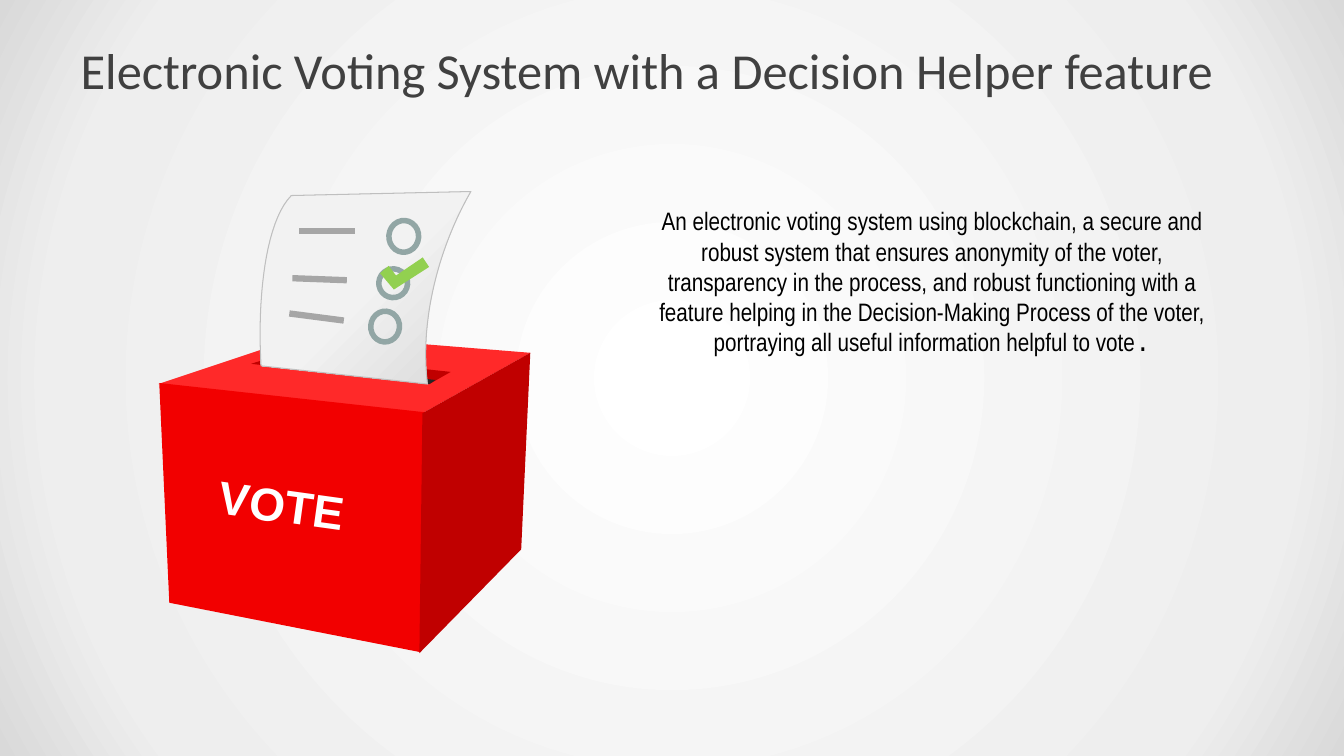
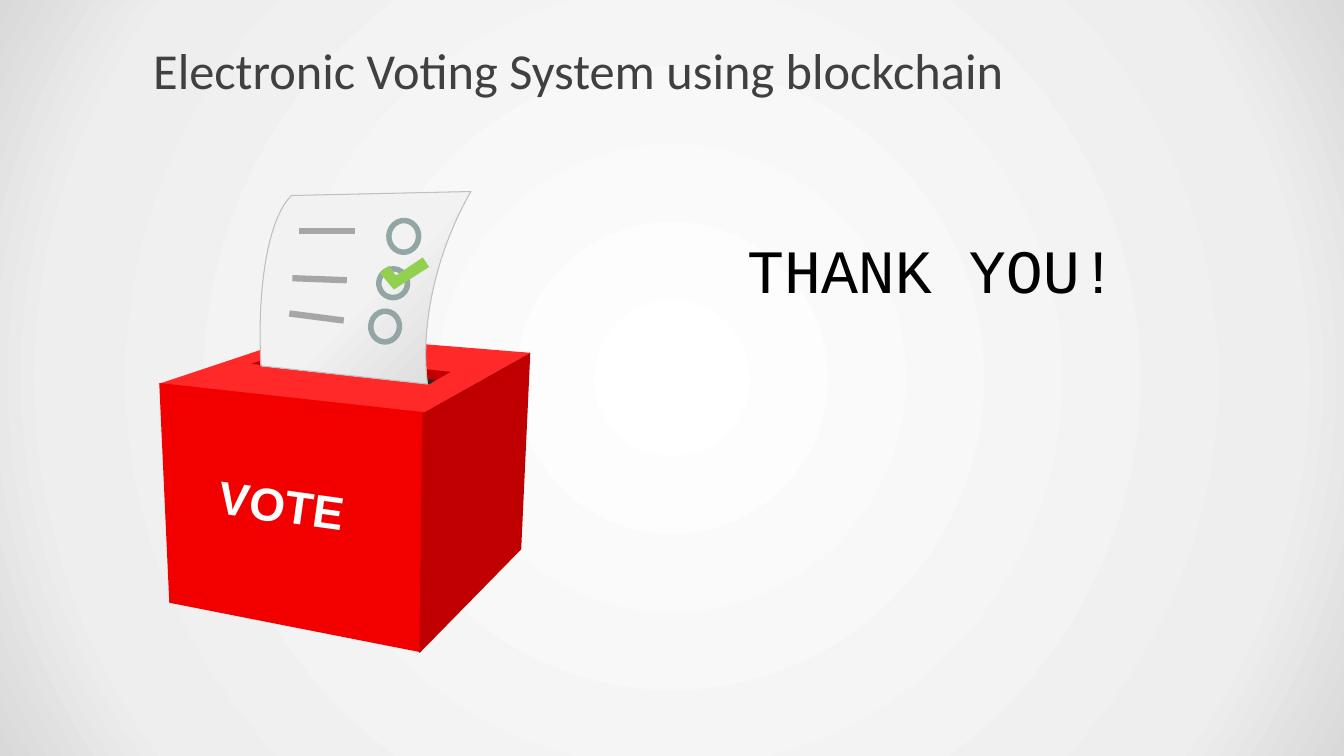
"""Build two slides about electronic voting around one shared ballot box drawing."""
from pptx import Presentation
from pptx.dml.color import RGBColor
from pptx.enum.shapes import MSO_CONNECTOR, MSO_SHAPE
from pptx.enum.text import MSO_ANCHOR, PP_ALIGN
from pptx.oxml import parse_xml
from pptx.oxml.ns import nsdecls, qn
from pptx.util import Inches, Pt

SUMMARY = (
    "An electronic voting system using blockchain, a secure and robust system that ensures "
    "anonymity of the voter, transparency in the process, and robust functioning with a feature "
    "helping in the Decision-Making Process of the voter, portraying all useful information "
    "helpful to vote"
)
PAGES = [
    {"title": "Electronic Voting System with a Decision Helper feature",
     "title_at": (0.67, 0.3, 12, 0.78), "size": 18, "top": 0.65,
     "body": [(SUMMARY, "Arial Narrow"), (".", "Courier New")]},
    {"title": "Electronic Voting System using blockchain",
     "title_at": (1.39, 0.3, 9.06, 0.78), "size": 44, "top": 1.13,
     "body": [("THANK YOU!", "Courier New")]},
]
BODY_AT = (6.04, 1.39, 6.41, 5.3)
BACKDROP = [(0, "FFFFFF"), (81, "EEEEEE"), (100, "D9D9D9")]

BOX_FACES = [
    ("FF2929", [(3.04, 3.32), (5.26, 3.5), (4.19, 4.1), (1.57, 3.81)]),
    ("F20000", [(1.58, 3.8), (4.21, 4.09), (4.17, 6.47), (1.68, 5.98)]),
    ("C00000", [(5.26, 3.5), (5.17, 5.45), (4.16, 6.48), (4.19, 4.1)]),
    ("C00000", [(2.8, 3.51), (4.47, 3.69), (4.26, 3.81), (2.49, 3.61)]),
    ("262626", [(2.76, 3.59), (4.32, 3.77), (4.26, 3.81), (2.66, 3.63)]),
]
PAPER_RIGHT = [(4.67, 1.9), (4.36, 2.44), (4.16, 3.16), (4.24, 3.81)]
PAPER_LEFT = [(2.59, 3.63), (2.55, 2.98), (2.63, 2.2), (2.89, 1.94)]
RINGS = [(3.83, 2.16, 0.35, 0.37), (3.73, 2.64, 0.34, 0.34), (3.65, 3.06, 0.34, 0.36)]
TICK = [(4.18, 2.54), (4.25, 2.63), (3.92, 2.88), (3.77, 2.73), (3.85, 2.65), (3.93, 2.74)]
BALLOT_LINES = [(2.97, 2.29, 3.52, 2.29), (2.9, 2.76, 3.44, 2.78), (2.87, 3.11, 3.41, 3.18)]
MARK_TILT = 4.5
RING_WIDTH = 0.055


def color(code):
    """Turn a hex string into a colour."""
    return RGBColor.from_string(code)


def inches(values):
    """Turn numbers into lengths."""
    return [Inches(value) for value in values]


def add_text(shapes, spans, at, size, ink, bold=False, wrap=True, align=PP_ALIGN.LEFT,
             anchor=MSO_ANCHOR.TOP, margins=(0.1, 0.05, 0.1, 0.05), tilt=0):
    """Add one paragraph made of (text, font) spans."""
    box = shapes.add_textbox(*inches(at))
    box.rotation = tilt
    frame = box.text_frame
    frame.word_wrap = wrap
    frame.vertical_anchor = anchor
    (frame.margin_left, frame.margin_top,
     frame.margin_right, frame.margin_bottom) = inches(margins)
    para = frame.paragraphs[0]
    para.alignment = align
    for text, font in spans:
        span = para.add_run()
        span.text = text
        span.font.name = font
        span.font.size = Pt(size)
        span.font.bold = bold
        span.font.color.rgb = color(ink)


def paint(shape, fill, tilt=0):
    """Give a shape a flat fill, no outline and no shadow."""
    shape.shadow.inherit = False
    shape.fill.solid()
    shape.fill.fore_color.rgb = color(fill)
    shape.line.fill.background()
    shape.rotation = tilt


def add_outline(shapes, points):
    """Add a closed outline through points."""
    start, *others = [tuple(inches(point)) for point in points]
    builder = shapes.build_freeform(*start, scale=1.0)
    builder.add_line_segments(others, close=True)
    return builder.convert_to_shape()


def curve(controls, steps=20):
    """List points along a cubic curve."""
    points = []
    for step in range(steps + 1):
        t = step / steps
        weights = ((1 - t) ** 3, 3 * t * (1 - t) ** 2, 3 * t * t * (1 - t), t ** 3)
        points.append(tuple(sum(w * point[axis] for w, point in zip(weights, controls))
                            for axis in (0, 1)))
    return points


def add_paper(shapes):
    """Add the curved ballot sheet."""
    paper = add_outline(shapes, curve(PAPER_RIGHT) + curve(PAPER_LEFT))
    paper.shadow.inherit = False
    paper.fill.gradient()
    paper.fill.gradient_angle = 135
    for stop, (position, code) in zip(paper.fill.gradient_stops,
                                      [(0, "D9D9D9"), (0.5, "F2F2F2")]):
        stop.position = position
        stop.color.rgb = color(code)
    paper.line.color.rgb = color("BFBFBF")
    paper.line.width = Pt(0)


def add_ballot_box(page):
    """Draw the ballot box with its marked sheet as one group."""
    shapes = page.shapes.add_group_shape().shapes
    for fill, points in BOX_FACES:
        paint(add_outline(shapes, points), fill)
    add_text(shapes, [("VOTE", "Arial")], (2.07, 4.68, 1.46, 0.66), 33, "FFFFFF",
             bold=True, wrap=False, tilt=8)
    add_paper(shapes)
    for at in RINGS:
        ring = shapes.add_shape(MSO_SHAPE.DONUT, *inches(at))
        ring.adjustments[0] = RING_WIDTH / min(at[2:])
        paint(ring, "92A6A5", MARK_TILT)
    paint(add_outline(shapes, TICK), "92D050", MARK_TILT)
    for ends in BALLOT_LINES:
        line = shapes.add_connector(MSO_CONNECTOR.STRAIGHT, *inches(ends))
        line.line.color.rgb = color("A6A6A6")
        line.line.width = Pt(4.5)
        line.element.spPr.append(parse_xml(f"<a:effectLst {nsdecls('a')}/>"))


def set_backdrop(master):
    """Give every slide the round grey gradient."""
    stops = "".join(f'<a:gs pos="{position * 1000}"><a:srgbClr val="{code}"/></a:gs>'
                    for position, code in BACKDROP)
    backdrop = parse_xml(
        f'<p:bg {nsdecls("p", "a")}><p:bgPr><a:gradFill rotWithShape="1">'
        f'<a:gsLst>{stops}</a:gsLst><a:path path="circle">'
        '<a:fillToRect l="50000" t="50000" r="50000" b="50000"/></a:path>'
        '</a:gradFill><a:effectLst/></p:bgPr></p:bg>')
    content = master.element.cSld
    content.replace(content.find(qn("p:bg")), backdrop)


def add_page(deck, title, title_at, body, size, top):
    """Add a slide with title, ballot box and centred body text."""
    page = deck.slides.add_slide(deck.slide_layouts[6])
    add_text(page.shapes, [(title, "Calibri")], title_at, 36, "404040",
             anchor=MSO_ANCHOR.MIDDLE, margins=(0.13, 0.07, 0.13, 0.07))
    add_ballot_box(page)
    add_text(page.shapes, body, BODY_AT, size, "000000", align=PP_ALIGN.CENTER,
             margins=(0.35, top, 0.35, 0.04))


deck = Presentation()
deck.slide_width, deck.slide_height = inches((13.33, 7.5))
set_backdrop(deck.slide_master)
for content in PAGES:
    add_page(deck, **content)
deck.save("out.pptx")
